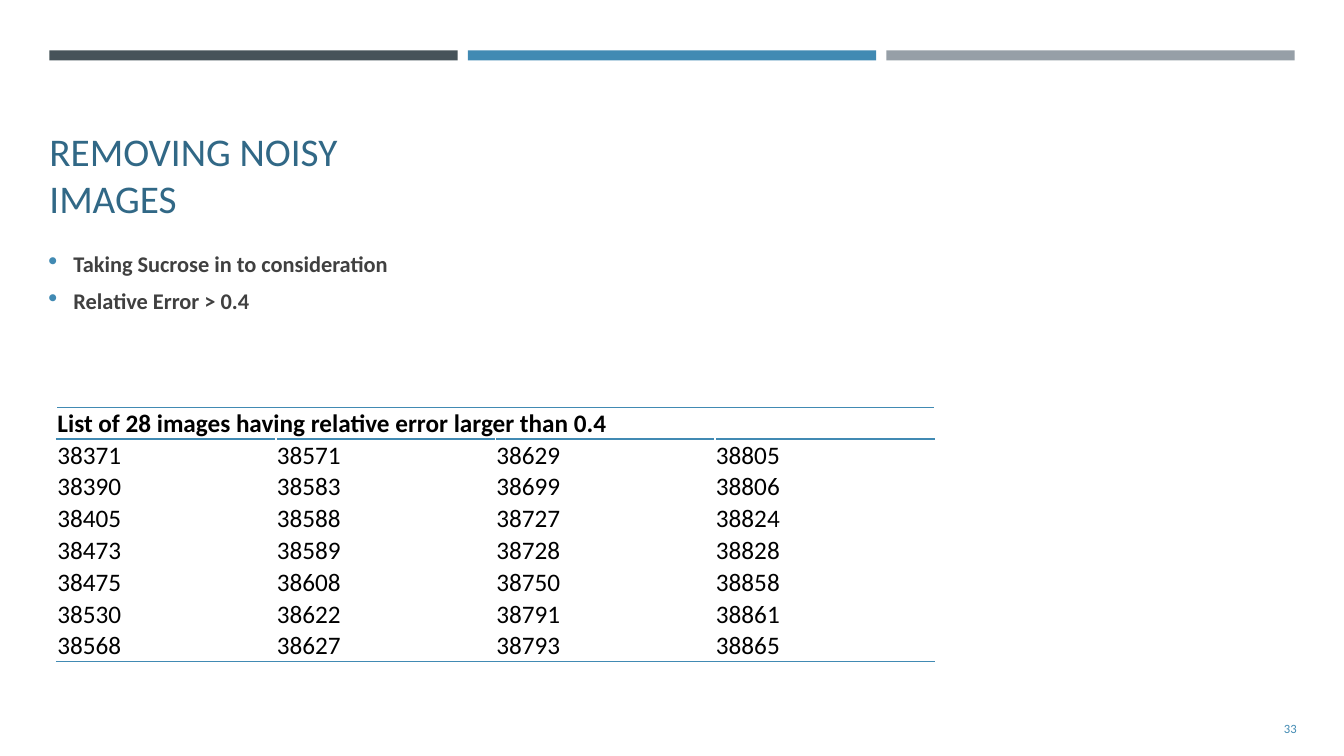
import pptx
import pptx.util
import pptx.dml.color
import pptx.enum.shapes
import pptx.enum.text
import pptx.oxml.ns
import lxml.etree

Inches, Pt = pptx.util.Inches, pptx.util.Pt
ALIGN, ANCHOR = pptx.enum.text.PP_ALIGN, pptx.enum.text.MSO_ANCHOR
FONT = "Calibri"
COLORS = {"slate": "465359", "blue": "418AB3", "gray": "969FA7",
          "title": "316886", "body": "404040", "black": "000000"}

IMAGE_COLUMNS = [
    ["38371", "38390", "38405", "38473", "38475", "38530", "38568"],
    ["38571", "38583", "38588", "38589", "38608", "38622", "38627"],
    ["38629", "38699", "38727", "38728", "38750", "38791", "38793"],
    ["38805", "38806", "38824", "38828", "38858", "38861", "38865"],
]


def rgb(name):
    return pptx.dml.color.RGBColor.from_string(COLORS[name])


def sub(parent, tag, **attrs):
    return lxml.etree.SubElement(parent, pptx.oxml.ns.qn(tag), attrs)


def write(p, text, size, color, bold=False):
    r = p.add_run()
    r.text = text
    for name, value in {"name": FONT, "size": Pt(size), "bold": bold}.items():
        setattr(r.font, name, value)
    r.font.color.rgb = rgb(color)


def setup_frame(tf, anchor, **margins):
    tf.word_wrap = True
    tf.auto_size = pptx.enum.text.MSO_AUTO_SIZE.NONE
    tf.vertical_anchor = anchor
    for name, value in margins.items():
        setattr(tf, name, Inches(value))


def add_bars(s, x, y, w, h, gap=0.1):
    names = ["slate", "blue", "gray"]
    bar_w = (w - gap * (len(names) - 1)) / len(names)
    for i, name in enumerate(names):
        left = x + i * (bar_w + gap)
        sp = s.shapes.add_shape(pptx.enum.shapes.MSO_SHAPE.RECTANGLE,
                                *map(Inches, (left, y, bar_w, h)))
        sp.shadow.inherit = False
        sp.fill.solid()
        sp.fill.fore_color.rgb = rgb(name)
        sp.line.fill.background()


def add_title(s, x, y, w, h, text):
    sp = s.shapes.title
    sp.left, sp.top, sp.width, sp.height = map(Inches, (x, y, w, h))
    setup_frame(sp.text_frame, ANCHOR.BOTTOM)
    p = sp.text_frame.paragraphs[0]
    p.alignment = ALIGN.LEFT
    write(p, text, 28, "title")


def add_bullets(s, x, y, w, h, lines):
    tf = s.shapes.add_textbox(*map(Inches, (x, y, w, h))).text_frame
    setup_frame(tf, ANCHOR.MIDDLE, margin_bottom=0.42)
    for i, text in enumerate(lines):
        p = tf.add_paragraph() if i else tf.paragraphs[0]
        p.line_spacing, p.space_before, p.space_after = 0.9, Pt(3.2), Pt(6)
        pPr = p._p.get_or_add_pPr()
        pPr.set("marL", str(Inches(0.24)))
        pPr.set("indent", str(-Inches(0.24)))
        sub(sub(pPr, "a:buClr"), "a:srgbClr", val=COLORS["blue"])
        sub(pPr, "a:buSzPct", val="92000")
        sub(pPr, "a:buFont", typeface="Wingdings 2")
        sub(pPr, "a:buChar", char="▪")
        write(p, text, 16, "body", bold=True)


def add_page_number(s, x, y, w, h, number):
    tf = s.shapes.add_textbox(*map(Inches, (x, y, w, h))).text_frame
    setup_frame(tf, ANCHOR.MIDDLE)
    tf.paragraphs[0].alignment = ALIGN.RIGHT
    write(tf.paragraphs[0], number, 9, "blue")


def format_cell(cell, edges):
    """Rule the given edges (a:lnT, a:lnB) and clear the fill."""
    tcPr = cell._tc.get_or_add_tcPr()
    for edge in edges:
        ln = sub(tcPr, edge, w=str(Pt(1)))
        sub(sub(ln, "a:solidFill"), "a:srgbClr", val=COLORS["blue"])
    cell.fill.background()
    cell.vertical_anchor = ANCHOR.BOTTOM
    for side in ("left", "right", "top"):
        setattr(cell, "margin_" + side, Inches(0.01))
    cell.margin_bottom = 0


def add_image_table(s, x, y, w, h, heading, columns):
    n_rows, n_cols = len(columns[0]) + 1, len(columns)
    table = s.shapes.add_table(n_rows, n_cols,
                               *map(Inches, (x, y, w, h))).table
    table.first_row = table.horz_banding = False
    edges = {0: ["a:lnT", "a:lnB"], 1: ["a:lnT"], n_rows - 1: ["a:lnB"]}
    for row in range(n_rows):
        for col in range(n_cols):
            cell = table.cell(row, col)
            format_cell(cell, edges.get(row, []))
            if row:
                write(cell.text_frame.paragraphs[0],
                      columns[col][row - 1], 18, "black")
    table.cell(0, 0).merge(table.cell(0, n_cols - 1))
    write(table.cell(0, 0).text_frame.paragraphs[0], heading, 18, "black",
          bold=True)


def main():
    prs = pptx.Presentation()
    prs.slide_width, prs.slide_height = Inches(13.33), Inches(7.5)
    s = prs.slides.add_slide(prs.slide_layouts[5])
    add_bars(s, 0.49, 0.5, 12.35, 0.1)
    add_title(s, 0.39, 0.5, 4.15, 1.75, "REMOVING NOISY IMAGES")
    add_bullets(s, 0.39, 2.25, 4.39, 1.5,
                ["Taking Sucrose in to consideration", "Relative Error > 0.4"])
    add_page_number(s, 11.81, 7.03, 1.15, 0.4, "33")
    add_image_table(s, 0.56, 4.04, 8.71, 2.46,
                    "List of 28 images having relative error larger than 0.4",
                    IMAGE_COLUMNS)
    prs.save("out.pptx")


if __name__ == "__main__":
    main()
